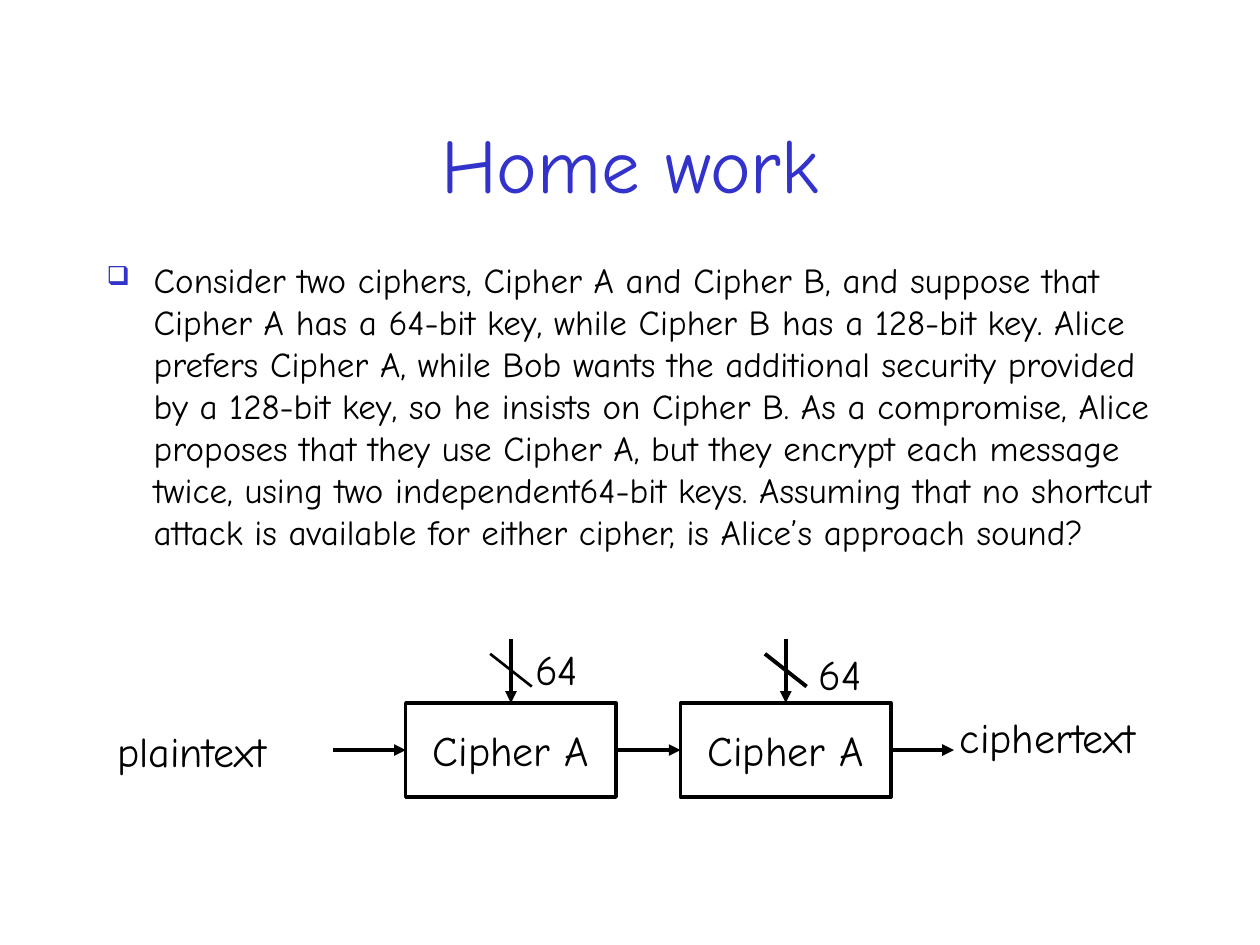
from lxml import etree
from pptx import Presentation
from pptx import util as u
from pptx.dml.color import RGBColor
from pptx.enum import shapes, text
from pptx.oxml.ns import qn

FONT = "Comic Neue"
COLORS = {"accent": "3333CC", "ink": "000000"}

# Content; lengths are in centimetres
TITLE = "Home work"
QUESTION = (
    "Consider two ciphers, Cipher A and Cipher B, and suppose that Cipher A has "
    "a 64-bit key, while Cipher B has a 128-bit key. Alice prefers Cipher A, while "
    "Bob wants the additional security provided by a 128-bit key, so he insists on "
    "Cipher B. As a compromise, Alice proposes that they use Cipher A, but they "
    "encrypt each message twice, using two independent64-bit keys. Assuming that no "
    "shortcut attack is available for either cipher, is Alice’s approach sound?"
)
LABELS = [  # wording, left, top, width
    ("plaintext", 2.11, 14.5, 4.45),
    ("ciphertext", 19.1, 14.22, 5.31),
    ("64", 10.54, 12.85, 1.7),
    ("64", 16.26, 12.95, 1.7),
]
STAGES = [("Cipher A", 8.18, 1.5), ("Cipher A", 13.72, 2.25)]  # wording, left, slash weight
BOX_TOP, BOX_WIDTH, BOX_HEIGHT = 14.17, 4.24, 1.9
FLOW_START, FLOW_END = 6.71, 19.23
KEY_TOP = 12.88
SLASH_HALF, SLASH_TOP, SLASH_BOTTOM = 0.42, 13.18, 13.84
TOP_SIDE, LEFT_SIDE, RIGHT_SIDE = 0, 1, 3


def color(name):
    return RGBColor.from_string(COLORS[name])


def write(frame, wording, size, ink="ink", align=text.PP_ALIGN.LEFT,
          anchor=text.MSO_ANCHOR.TOP):
    frame.word_wrap = True
    frame.vertical_anchor = anchor
    paragraph = frame.paragraphs[0]
    paragraph.alignment = align
    run = paragraph.add_run()
    run.text = wording
    run.font.name = FONT
    run.font.size = u.Pt(size)
    run.font.color.rgb = color(ink)
    return paragraph


def add_text(slide, left, top, width, height, *args, **options):
    box = slide.shapes.add_textbox(u.Cm(left), u.Cm(top), u.Cm(width), u.Cm(height))
    return write(box.text_frame, *args, **options)


def add_bullet(paragraph):
    properties = paragraph._p.get_or_add_pPr()
    properties.set("marL", str(u.Cm(0.95)))
    properties.set("indent", str(-u.Cm(0.95)))
    bullet_color = etree.SubElement(properties, qn("a:buClr"))
    etree.SubElement(bullet_color, qn("a:srgbClr"), val=COLORS["accent"])
    etree.SubElement(properties, qn("a:buSzPct"), val="75000")
    etree.SubElement(properties, qn("a:buChar"), char="❑")


def add_line(slide, x1, y1, x2, y2, weight=2.25, arrow=True):
    line = slide.shapes.add_connector(
        shapes.MSO_CONNECTOR.STRAIGHT, u.Cm(x1), u.Cm(y1), u.Cm(x2), u.Cm(y2))
    line.line.color.rgb = color("ink")
    line.line.width = u.Pt(weight)
    if arrow:
        etree.SubElement(line.line._get_or_add_ln(), qn("a:tailEnd"), type="triangle")
    etree.SubElement(line._element.spPr, qn("a:effectLst"))
    return line


def add_box(slide, wording, left):
    box = slide.shapes.add_shape(
        shapes.MSO_SHAPE.RECTANGLE, u.Cm(left), u.Cm(BOX_TOP),
        u.Cm(BOX_WIDTH), u.Cm(BOX_HEIGHT))
    box.shadow.inherit = False
    box.fill.background()
    box.line.color.rgb = color("ink")
    box.line.width = u.Pt(2)
    write(box.text_frame, wording, 24, align=text.PP_ALIGN.CENTER,
          anchor=text.MSO_ANCHOR.MIDDLE)
    return box


def main():
    presentation = Presentation()
    presentation.slide_width, presentation.slide_height = u.Cm(25.4), u.Cm(19.05)
    slide = presentation.slides.add_slide(presentation.slide_layouts[6])

    # Title and question
    add_text(slide, 1.9, 1.7, 21.6, 3.18, TITLE, 44, "accent",
             text.PP_ALIGN.CENTER, text.MSO_ANCHOR.MIDDLE)
    add_bullet(add_text(slide, 1.9, 5.08, 21.6, 11.43, QUESTION, 20))

    # Cipher stages, each with its key arrow and bit-width slash
    boxes = []
    for wording, left, slash_weight in STAGES:
        box = add_box(slide, wording, left)
        center = left + BOX_WIDTH / 2
        key = add_line(slide, center, KEY_TOP, center, BOX_TOP)
        key.end_connect(box, TOP_SIDE)
        add_line(slide, center - SLASH_HALF, SLASH_TOP,
                 center + SLASH_HALF, SLASH_BOTTOM, slash_weight, arrow=False)
        boxes.append(box)

    # Flow from plaintext through the stages to ciphertext
    middle = BOX_TOP + BOX_HEIGHT / 2
    for source, target in zip([None] + boxes, boxes + [None]):
        arrow = add_line(slide, FLOW_START, middle, FLOW_END, middle)
        if source:
            arrow.begin_connect(source, RIGHT_SIDE)
        if target:
            arrow.end_connect(target, LEFT_SIDE)

    # Labels
    for wording, left, top, width in LABELS:
        add_text(slide, left, top, width, 1.27, wording, 24)

    presentation.save("out.pptx")


if __name__ == "__main__":
    main()
